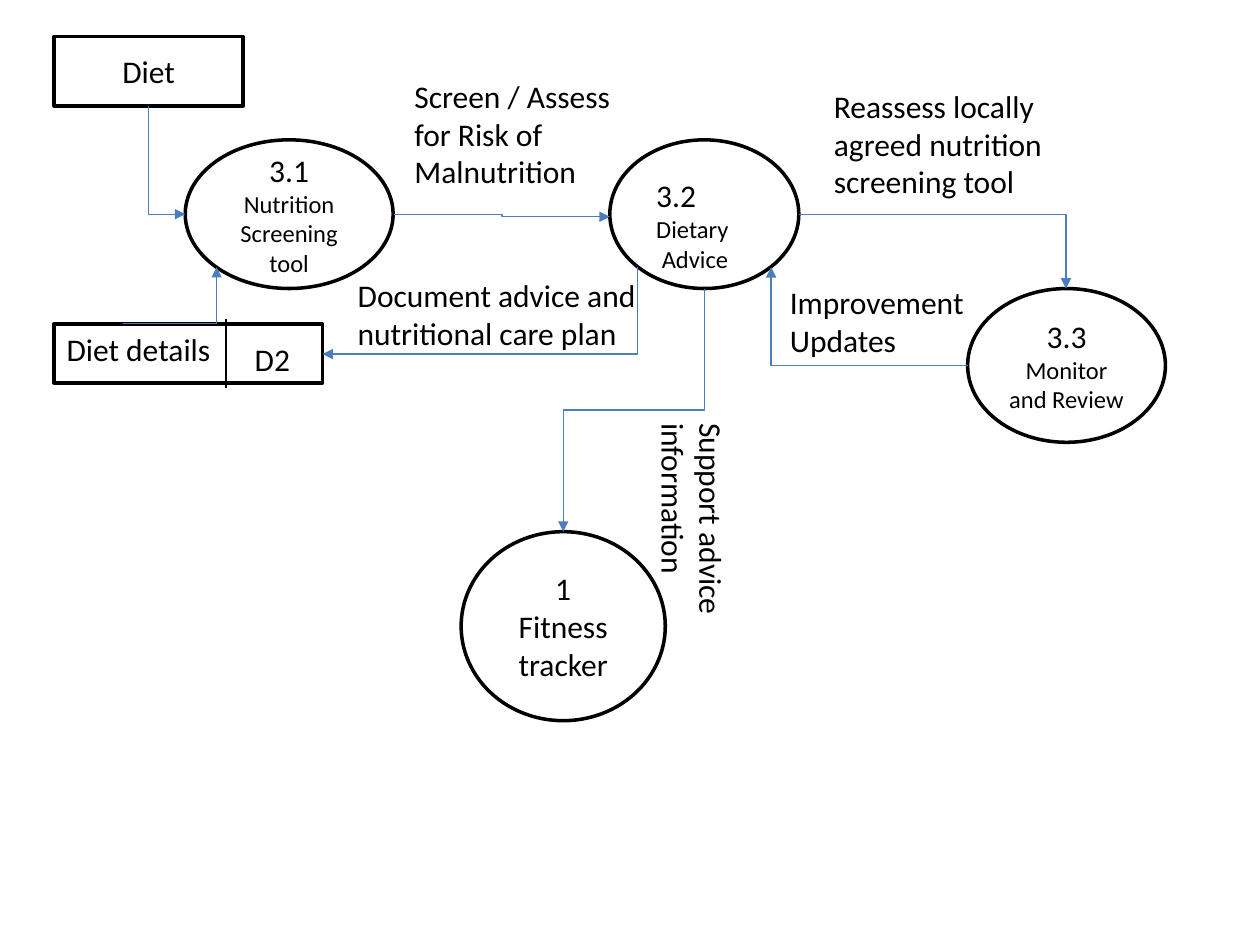
from pptx import Presentation, util as u
from pptx.dml.color import RGBColor
from pptx.enum import shapes as sh, text as tx
from pptx.oxml import parse_xml
from pptx.oxml.ns import nsdecls, qn

BLACK = RGBColor(0, 0, 0)
WHITE = RGBColor(0xFF, 0xFF, 0xFF)
BLUE = RGBColor(0x4B, 0x7E, 0xBC)
BIG, SMALL = 18, 14
KIND = sh.MSO_SHAPE
LINK = sh.MSO_CONNECTOR

deck = Presentation()
deck.slide_width, deck.slide_height = u.Inches(10), u.Inches(7.5)
# Grid of 100 columns and 75 rows
COL, ROW = deck.slide_width / 100, deck.slide_height / 75
slide = deck.slides.add_slide(deck.slide_layouts[6])


def place(x, y, w, h):
    return [round(v) for v in (x * COL, y * ROW, w * COL, h * ROW)]


def write(frame, lines, align):
    """Fill a frame with (words, size) lines."""
    for i, (words, size) in enumerate(lines):
        para = frame.paragraphs[0] if i == 0 else frame.add_paragraph()
        para.alignment = align
        run = para.add_run()
        run.text = words
        run.font.size = u.Pt(size)
        run.font.name = "Calibri"
        run.font.color.rgb = BLACK


def node(kind, box, lines=()):
    """Outlined box or ellipse with centred text."""
    item = slide.shapes.add_shape(kind, *place(*box))
    item.shadow.inherit = False
    item.fill.solid()
    item.fill.fore_color.rgb = WHITE
    item.line.color.rgb = BLACK
    item.line.width = u.Pt(2)
    item.text_frame.vertical_anchor = tx.MSO_ANCHOR.MIDDLE
    write(item.text_frame, lines, tx.PP_ALIGN.CENTER)


def label(box, *lines, wrap=True, turn=0):
    """Free text, left aligned."""
    item = slide.shapes.add_textbox(*place(*box))
    item.rotation = turn
    item.text_frame.word_wrap = wrap
    item.text_frame.auto_size = tx.MSO_AUTO_SIZE.SHAPE_TO_FIT_TEXT
    write(item.text_frame, lines, tx.PP_ALIGN.LEFT)


def link(kind, x1, y1, x2, y2, color):
    """Thin line without shadow."""
    item = slide.shapes.add_connector(kind, *place(x1, y1, x2, y2))
    item.line.color.rgb = color
    item.line.width = u.Pt(0.75)
    item._element.spPr.append(parse_xml("<a:effectLst %s/>" % nsdecls("a")))
    return item


def flow(start, end, down=False, bends=1):
    """Elbow arrow; down means it leaves its start vertically."""
    (x1, y1), (x2, y2) = start, end
    dx, dy = x2 - x1, y2 - y1
    midx, midy = (x1 + x2) / 2, (y1 + y2) / 2
    if down:
        turn = 270 if dx > 0 else 90
        dx, dy = (-abs(dy) if (dx > 0) == (dy > 0) else abs(dy)), abs(dx)
    elif dx < 0 and dy < 0:
        turn, dx, dy = 180, -dx, -dy
    else:
        turn = 0
    item = link(LINK.ELBOW, midx - dx / 2, midy - dy / 2,
                midx + dx / 2, midy + dy / 2, BLUE)
    props = item._element.spPr
    props.find(qn("a:xfrm")).set("rot", str(turn * 60000))
    props.find(qn("a:prstGeom")).set("prst", "bentConnector%d" % (bends + 1))
    props.find(qn("a:ln")).append(
        parse_xml('<a:tailEnd type="triangle" %s/>' % nsdecls("a")))


def store(box, name, code):
    """Data store: name and code, split by a rule."""
    x, y, w, h = box
    split = x + w * 0.64
    node(KIND.RECTANGLE, box)
    label((split + 1.3, y + 0.8, 4.9, 4), (code, BIG), wrap=False)
    label((x, y, w * 0.64, 4), (name, BIG), wrap=False)
    link(LINK.STRAIGHT, split, y - 0.4, split, y + h + 0.4, BLACK)


# Entity, data store and processes
node(KIND.RECTANGLE, (4.3, 2.9, 15, 5.5), [("Diet", BIG)])
store((4.3, 25.7, 21.3, 4.7), "Diet details", "D2")
node(KIND.OVAL, (14.7, 11.1, 16.5, 11.8),
     [("3.1", BIG), ("Nutrition Screening tool", SMALL)])
node(KIND.OVAL, (48.4, 11.1, 15, 11.8))
label((51.1, 13.5, 7.8, 8.8), ("3.2", BIG), ("Dietary", SMALL),
      (" Advice", SMALL), wrap=False)
node(KIND.OVAL, (76.8, 22.9, 15.7, 12.2),
     [("3.3", BIG), ("Monitor and Review", SMALL)])
node(KIND.OVAL, (36.6, 42.2, 16.2, 15), [("1", BIG), ("Fitness tracker", BIG)])

# Flows
flow((11.8, 8.4), (14.7, 17), down=True)
flow((9.8, 25.7), (17.2, 21.2))
flow((31.3, 17), (48.4, 17.2), bends=2)
flow((50.6, 21.2), (25.6, 28.1), down=True)
flow((63.4, 17), (84.6, 22.9))
flow((76.8, 29), (61.2, 21.2))
flow((55.9, 22.9), (44.7, 42.2), down=True, bends=2)

# Flow names
label((31.9, 5.6, 20.9, 10.1), ("Screen / Assess for Risk of Malnutrition", BIG))
label((27.4, 21.4, 29.9, 7.1),
      ("Document advice and nutritional care plan", BIG))
label((65.2, 6.4, 21.3, 10.1),
      ("Reassess locally agreed nutrition screening tool", BIG))
label((61.7, 22, 17.9, 7.1), ("Improvement Updates", BIG))
label((46.1, 37.9, 17.7, 7.1), ("Support advice information", BIG), turn=90)

deck.save("out.pptx")
